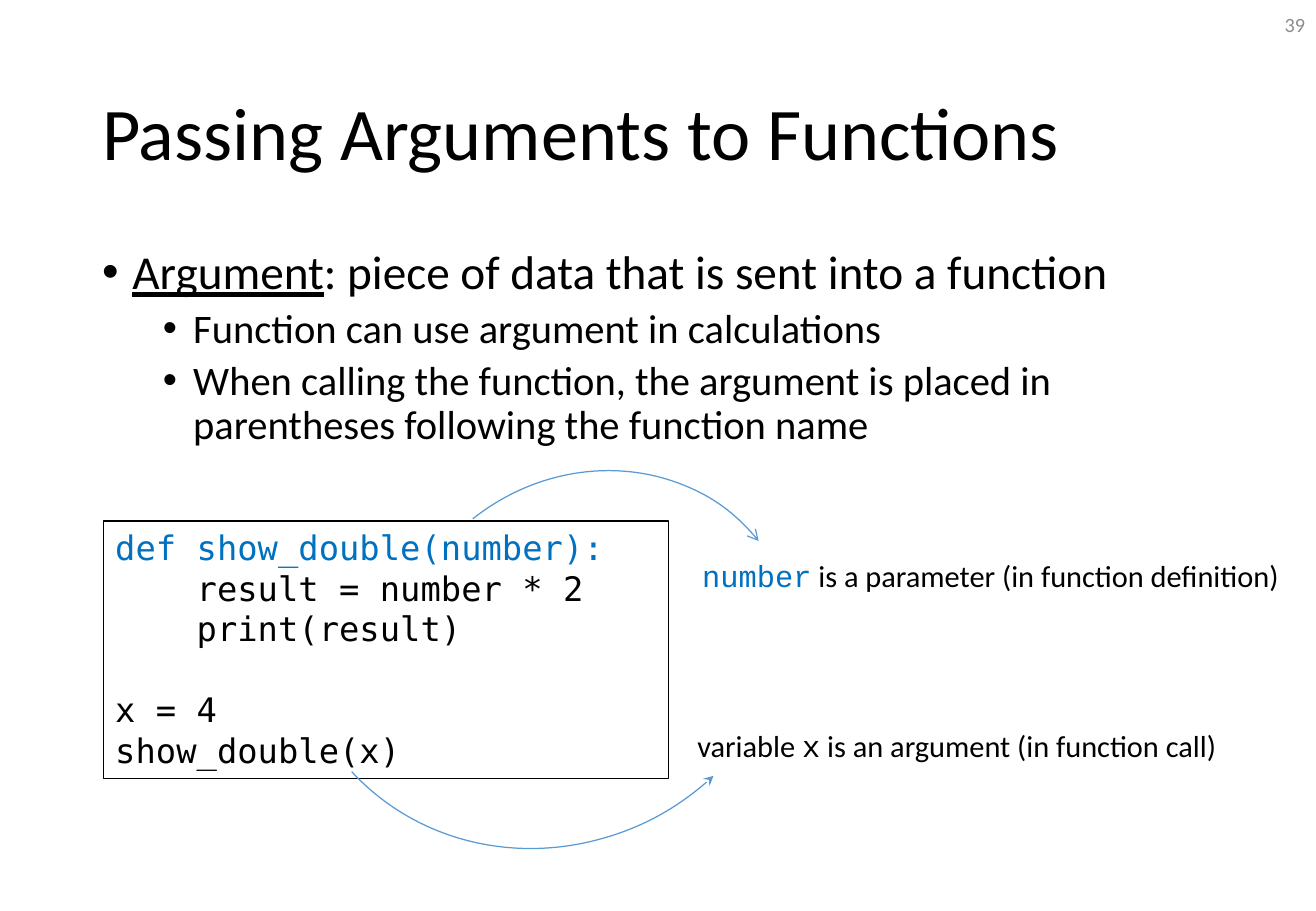
from lxml import etree
from pptx import Presentation
from pptx.dml.color import RGBColor
from pptx.enum.shapes import MSO_SHAPE
from pptx.enum.text import MSO_ANCHOR, MSO_AUTO_SIZE, PP_ALIGN
from pptx.oxml.ns import qn
from pptx.util import Inches, Pt

RECT, ARC = MSO_SHAPE.RECTANGLE, MSO_SHAPE.ARC
TOP, MIDDLE = MSO_ANCHOR.TOP, MSO_ANCHOR.MIDDLE
LEFT, RIGHT = PP_ALIGN.LEFT, PP_ALIGN.RIGHT
NONE, GROW = MSO_AUTO_SIZE.NONE, MSO_AUTO_SIZE.SHAPE_TO_FIT_TEXT
SANS, MONO, CODE = "Calibri", "Courier New", "DejaVu Sans Mono"
BLACK, BLUE, SKY, GRAY = "000000", "0070C0", "5B9BD5", "8C8C8C"


def paint(target, color):
    target.rgb = RGBColor.from_string(color)


def write(para, text, size, face=SANS, color=BLACK, **extra):
    run = para.add_run()
    run.text = text
    style = {"size": Pt(size), "name": face, **extra}
    for key, value in style.items():
        setattr(run.font, key, value)
    paint(run.font.color, color)


deck = Presentation()
deck.slide_width, deck.slide_height = Inches(10.83), Inches(7.5)
slide = deck.slides.add_slide(deck.slide_layouts[1])
shapes = slide.shapes

# Title and body frames
title, body = shapes.title, slide.placeholders[1]
for holder, top, height, anchor in [(title, 0.4, 1.45, MIDDLE), (body, 2, 2.06, TOP)]:
    holder.left, holder.top = Inches(0.74), Inches(top)
    holder.width, holder.height = Inches(9.34), Inches(height)
    frame = holder.text_frame
    frame.auto_size, frame.word_wrap = NONE, True
    frame.vertical_anchor = anchor

para = title.text_frame.paragraphs[0]
para.alignment, para.line_spacing = LEFT, 0.9
write(para, "Passing Arguments to Functions", 44)

# Bullet list: level, space before, size, runs of text and underline
points = [
    (0, 0, 28, [("Argument", True),
                (": piece of data that is sent into a function", False)]),
    (1, 5, 24, [("Function can use argument in calculations", False)]),
    (1, 5, 24, [("When calling the function, the argument is placed in "
                 "parentheses following the function name", False)]),
]
frame = body.text_frame
for row, (level, gap, size, runs) in enumerate(points):
    para = frame.add_paragraph() if row else frame.paragraphs[0]
    para.level, para.line_spacing, para.space_before = level, 0.9, Pt(gap)
    props = para._p.get_or_add_pPr()
    props.set("marL", str(Inches(0.25 + 0.5 * level)))
    props.set("indent", str(Inches(-0.25)))
    etree.SubElement(props, qn("a:buFont"), typeface="Arial")
    etree.SubElement(props, qn("a:buChar"), char="•")
    for text, under in runs:
        write(para, text, size, underline=under)

# Code box
box = shapes.add_shape(RECT, Inches(0.85), Inches(4.29), Inches(4.65), Inches(2.12))
box.shadow.inherit = False
box.fill.background()
paint(box.line.color, BLACK)
box.line.width = Pt(0.75)
frame = box.text_frame
frame.word_wrap, frame.vertical_anchor = True, TOP
code = """def show_double(number):
    result = number * 2
    print(result)

x = 4
show_double(x)"""
for row, line in enumerate(code.split("\n")):
    para = frame.add_paragraph() if row else frame.paragraphs[0]
    para.alignment = LEFT
    para.font.size = Pt(20)
    if line:
        write(para, line, 20, CODE, BLACK if row else BLUE)

# Curved arrows
arrows = [
    (3.17, 3.92, 3.45, 3.22, 321.4, "a:tailEnd", "arrow"),
    (2.32, 2.84, 4.33, 4.09, 137.3, "a:headEnd", "stealth"),
]
for left, top, width, height, turn, end, kind in arrows:
    arc = shapes.add_shape(ARC, Inches(left), Inches(top), Inches(width), Inches(height))
    arc.shadow.inherit = False
    arc.rotation = turn
    arc.fill.background()
    paint(arc.line.color, SKY)
    arc.line.width = Pt(0.75)
    etree.SubElement(arc.line._get_or_add_ln(), qn(end), type=kind)

# Side notes and page number: left, top, width, align, anchor, fit, wrap, size, runs
notes = [
    (5.68, 4.54, 5.01, LEFT, TOP, GROW, False, 18, [
        ("number", MONO, BLUE),
        (" is a parameter (in function definition)", SANS, BLACK)]),
    (5.64, 5.94, 4.53, LEFT, TOP, GROW, False, 18, [
        ("variable ", SANS, BLACK), ("x", MONO, BLACK),
        (" is an argument (in function call)", SANS, BLACK)]),
    (8.4, 0, 2.44, RIGHT, MIDDLE, NONE, True, 12, [("39", SANS, GRAY)]),
]
for left, top, width, align, anchor, fit, wrap, size, runs in notes:
    note = shapes.add_textbox(Inches(left), Inches(top), Inches(width), Inches(0.4))
    frame = note.text_frame
    frame.auto_size, frame.word_wrap = fit, wrap
    frame.vertical_anchor = anchor
    para = frame.paragraphs[0]
    para.alignment = align
    for text, face, color in runs:
        write(para, text, size, face, color)

deck.save("out.pptx")
